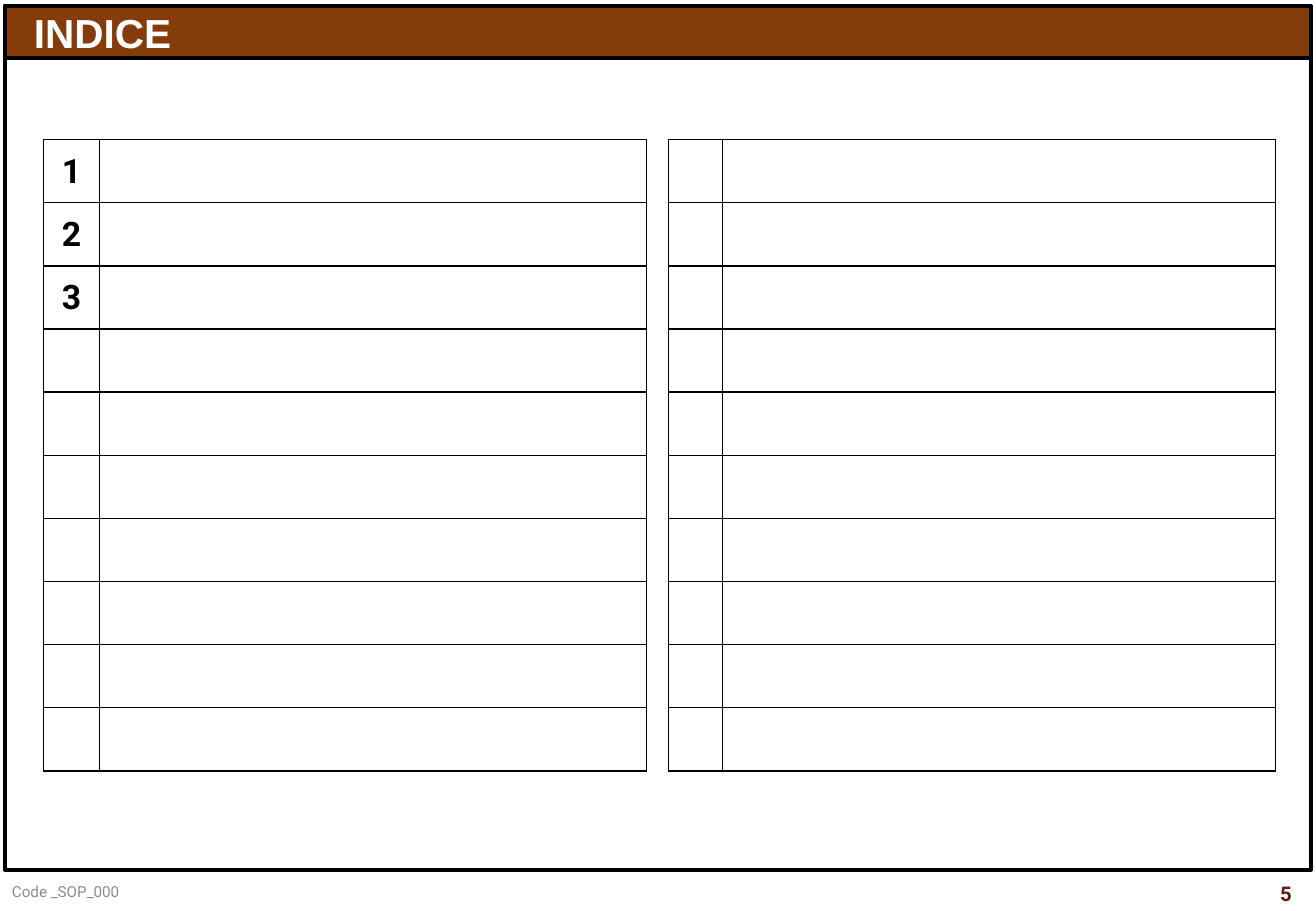
from lxml.etree import SubElement
from pptx import Presentation
from pptx.dml.color import RGBColor
from pptx.enum.shapes import MSO_SHAPE
from pptx.enum.text import MSO_ANCHOR, PP_ALIGN
from pptx.oxml.ns import qn
from pptx.util import Cm, Pt

BLACK = RGBColor(0x00, 0x00, 0x00)
WHITE = RGBColor(0xFF, 0xFF, 0xFF)
BROWN = RGBColor(0x84, 0x3C, 0x0B)
GREY = RGBColor(0x8C, 0x8C, 0x8C)
DARK_RED = RGBColor(0x5F, 0x1A, 0x12)

ROW_COUNT = 10
ROW_HEIGHT = 1.32


def write(tf, text, size, color, font="Roboto", bold=False, align=PP_ALIGN.LEFT):
    p = tf.paragraphs[0]
    p.alignment = align
    r = p.add_run()
    r.text = text
    r.font.name = font
    r.font.size = Pt(size)
    r.font.bold = bold
    r.font.color.rgb = color


def add_box(s, x, y, w, h, fill=None):
    """Add a black-edged rectangle, hollow unless a fill is given."""
    sp = s.shapes.add_shape(MSO_SHAPE.RECTANGLE, Cm(x), Cm(y), Cm(w), Cm(h))
    sp.shadow.inherit = False
    sp.line.color.rgb = BLACK
    sp.line.width = Pt(2.25)
    if fill is None:
        sp.fill.background()
    else:
        sp.fill.solid()
        sp.fill.fore_color.rgb = fill
    return sp


def add_frame(s, x, y, w, h, title):
    """Add the page frame with its title bar along the top."""
    add_box(s, x, y, w, h)
    tf = add_box(s, x, y, w, 1.09, BROWN).text_frame
    tf.margin_left = Cm(0.61)
    tf.vertical_anchor = MSO_ANCHOR.MIDDLE
    write(tf, title, 24, WHITE, font="Arial", bold=True)


def add_label(s, x, y, w, h, text, **fmt):
    tf = s.shapes.add_textbox(Cm(x), Cm(y), Cm(w), Cm(h)).text_frame
    tf.word_wrap = True
    tf.vertical_anchor = MSO_ANCHOR.MIDDLE
    write(tf, text, **fmt)


def add_footer(s, x, y, w, code, page):
    add_label(s, x, y, 15.75, 0.66, code, size=9, color=GREY)
    page_width = 1.3
    add_label(s, x + w - page_width, y, page_width, 0.74, page, size=12,
              color=DARK_RED, bold=True, align=PP_ALIGN.CENTER)


def style_cell(cell):
    """Give a cell thin black borders and a white fill."""
    tcPr = cell._tc.get_or_add_tcPr()
    for side in ("a:lnL", "a:lnR", "a:lnT", "a:lnB"):
        ln = SubElement(tcPr, qn(side), w=str(Pt(1)))
        fill = SubElement(ln, qn("a:solidFill"))
        SubElement(fill, qn("a:srgbClr"), val=str(BLACK))
    cell.fill.solid()
    cell.fill.fore_color.rgb = WHITE


def add_index(s, x, y, col_widths, numbers=()):
    """Add an index table whose first rows carry the given numbers."""
    table = s.shapes.add_table(ROW_COUNT, len(col_widths), Cm(x), Cm(y),
                               Cm(sum(col_widths)), Cm(ROW_COUNT * ROW_HEIGHT)).table
    table.first_row = table.horz_banding = False
    for col, width in zip(table.columns, col_widths):
        col.width = Cm(width)
    for row in table.rows:
        row.height = Cm(ROW_HEIGHT)
    for cell in table.iter_cells():
        style_cell(cell)
    for i, number in enumerate(numbers):
        cell = table.cell(i, 0)
        cell.margin_left = cell.margin_right = cell.margin_top = Cm(0.03)
        cell.margin_bottom = 0
        cell.vertical_anchor = MSO_ANCHOR.MIDDLE
        write(cell.text_frame, number, 20, BLACK, bold=True, align=PP_ALIGN.CENTER)


def main():
    prs = Presentation()
    prs.slide_width, prs.slide_height = Cm(27.51), Cm(19.05)
    s = prs.slides.add_slide(prs.slide_layouts[6])
    add_frame(s, 0.1, 0.13, 27.3, 18.06, "INDICE")
    add_footer(s, 0, 18.31, 27.53, "Code _SOP_000", "5")
    add_index(s, 0.91, 2.92, (1.17, 11.43), numbers="123")
    add_index(s, 13.97, 2.92, (1.13, 11.56))
    prs.save("out.pptx")


if __name__ == "__main__":
    main()
